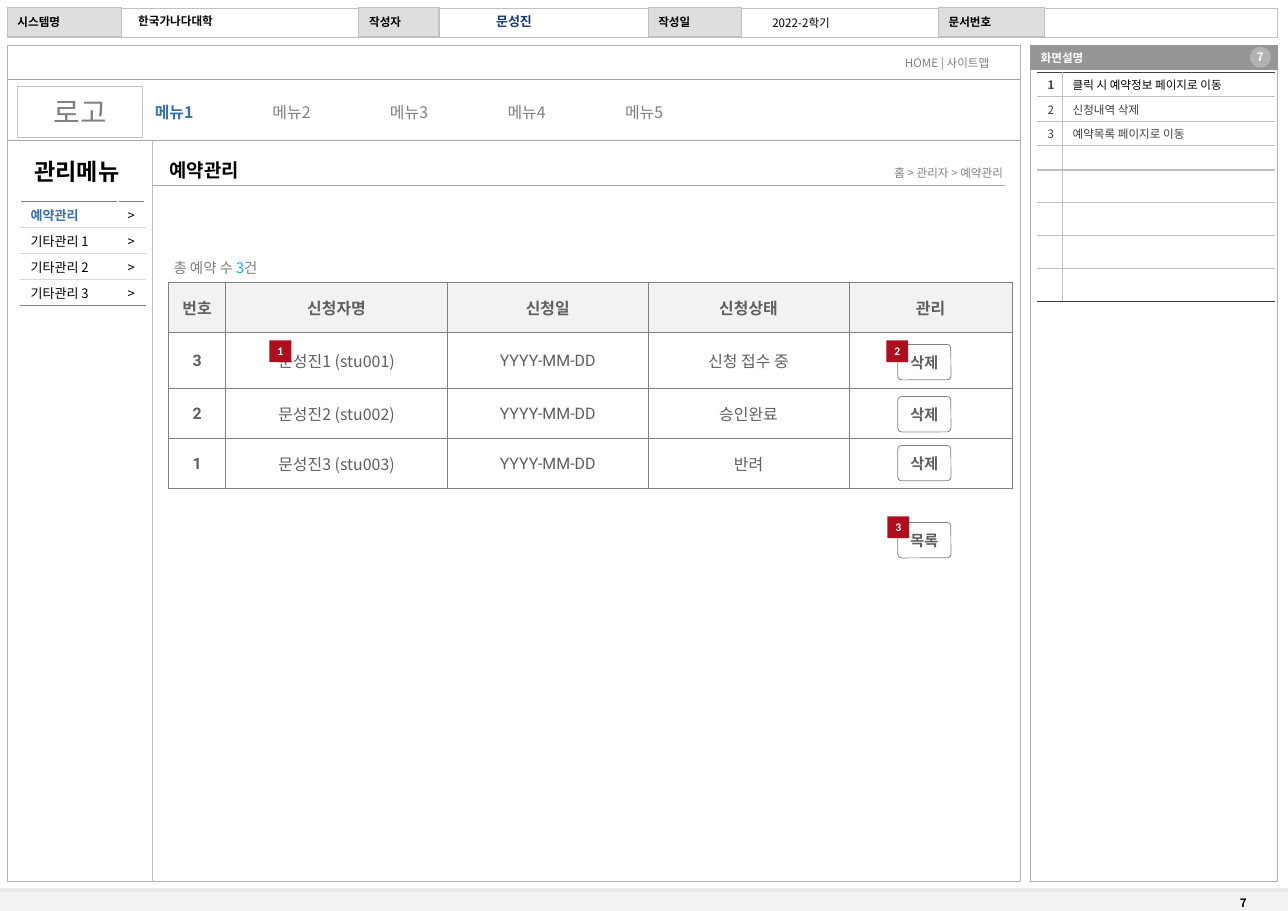
from lxml.etree import SubElement as Sub
from pptx import Presentation
from pptx.dml.color import RGBColor as Rgb
from pptx.enum.shapes import MSO_CONNECTOR as Conn, MSO_SHAPE as Geo
from pptx.enum.text import MSO_ANCHOR as Anchor, PP_ALIGN as Align
from pptx.oxml.ns import qn
from pptx.util import Inches, Pt

WIDE, HIGH = 1238, 875.25
HUE = {
    "ink": "000000", "text": "404040", "cell": "5F5F5F", "gray": "808080",
    "white": "FFFFFF", "blue": "376EAB", "navy": "163873", "cyan": "00B0F0",
    "red": "AF0F1D", "label": "DEDEDE", "edge": "C0C0C0", "frame": "B2B2B2",
    "rule": "A6A6A6", "thin": "BFBFBF", "bar": "969696", "pale": "F2F2F2",
    "foot": "F3F3F3", "band": "EAEAEA", "line": "D9D9D9",
}
FACE = "Noto Sans CJK KR"
LEFT, MID, RIGHT = Align.LEFT, Align.CENTER, Align.RIGHT


def unit(n):
    """Turn grid columns or rows into a length."""
    return Inches(n / 100)


def spot(box, x, y, w, h):
    """Place a part of the grid relative to a box."""
    return [unit(n) for n in (box[0] + x, box[1] + y, w, h)]


def tint(name):
    """Look up a colour by name."""
    return Rgb.from_string(HUE[name])


def write(frame, runs, align=LEFT, pad=(10, 5)):
    """Fill a text frame with runs of text, size, colour, bold and face."""
    frame.word_wrap = True
    frame.vertical_anchor = Anchor.MIDDLE
    frame.margin_left = frame.margin_right = unit(pad[0])
    frame.margin_top = frame.margin_bottom = unit(pad[1])
    add_runs(frame.paragraphs[0], runs, align)


def add_runs(para, runs, align):
    """Add styled runs to a paragraph."""
    para.alignment = align
    for text, size, hue, bold, *face in runs:
        run = para.add_run()
        run.text = text
        font = run.font
        font.size, font.bold, font.name = Pt(size), bold, (face or [FACE])[0]
        font.color.rgb = tint(hue)
        Sub(font._element, qn("a:ea"), typeface=FACE)


def block(page, area, fill=None, line=None, width=0.75, geo=Geo.RECTANGLE):
    """Draw a preset shape."""
    shape = page.shapes.add_shape(geo, *area)
    shape.shadow.inherit = False
    if fill:
        shape.fill.solid()
        shape.fill.fore_color.rgb = tint(fill)
    else:
        shape.fill.background()
    if line:
        shape.line.color.rgb = tint(line)
        shape.line.width = Pt(width)
    else:
        shape.line.fill.background()
    return shape


def label(page, area, runs, align=LEFT):
    """Add a text box."""
    write(page.shapes.add_textbox(*area).text_frame, runs, align)


def rule(page, box, x, y, w, h, hue="rule", width=0.75):
    """Draw a straight line inside a box."""
    x, y, w, h = spot(box, x, y, w, h)
    line = page.shapes.add_connector(Conn.STRAIGHT, x, y, x + w, y + h)
    line.line.color.rgb = tint(hue)
    line.line.width = Pt(width)
    Sub(line._element.spPr, qn("a:effectLst"))


def grid(page, box, x, y, cols, rows):
    """Add a plain table with the given columns and rows."""
    area = spot(box, x, y, sum(cols), sum(rows))
    table = page.shapes.add_table(len(rows), len(cols), *area).table
    table.first_row = table.horz_banding = False
    for col, n in zip(table.columns, cols):
        col.width = unit(n)
    for row, n in zip(table.rows, rows):
        row.height = unit(n)
    return table


def fill_cell(cell, runs, edges, width, align=LEFT, fill="white", pad=(10, 0, 3)):
    """Set the text, the four borders and the fill of a cell."""
    cell.margin_left, cell.margin_right = unit(pad[0]), unit(pad[1])
    cell.margin_top = cell.margin_bottom = unit(pad[2])
    cell.vertical_anchor = Anchor.MIDDLE
    para = cell.text_frame.paragraphs[0]
    add_runs(para, runs, align)
    if not runs:
        para._p.get_or_add_endParaRPr().set("sz", "800")
    props = cell._tc.get_or_add_tcPr()
    for side, hue in zip("LRTB", edges):
        line = Sub(props, qn("a:ln" + side), w=str(Pt(width)))
        if hue:
            Sub(Sub(line, qn("a:solidFill")), qn("a:srgbClr"), val=HUE[hue])
        else:
            Sub(line, qn("a:noFill"))
    cell.fill.solid()
    cell.fill.fore_color.rgb = tint(fill)


def add_head(page, box):
    """Draw the document strip with its labels and values."""
    block(page, spot(box, 0, 1, 1221, 28), "white", "edge")
    for x, w, text in ((0, 110, "시스템명"), (338, 77, "작성자"),
                       (616, 90, "작성일"), (895, 102, "문서번호")):
        shape = block(page, spot(box, x, 0, w, 28), "label", "edge")
        write(shape.text_frame, [(text, 8, "ink", True)])
    label(page, spot(box, 116, 1, 222, 24), [("한국가나다대학", 8, "ink", True)])
    label(page, spot(box, 416, 1, 142, 25), [("문성진", 9, "navy", True)], MID)
    label(page, spot(box, 714, 3, 98, 24), [("2022-2학기", 8, "ink", False)], MID)


def add_menu(page, box):
    """Draw the site bar with the logo slot and the five menus."""
    rule(page, box, 0, 32, box[2], 0)
    rule(page, box, 0, 91, box[2], 0)
    label(page, spot(box, 852, 4, 120, 24), [("HOME | 사이트맵", 8, "gray", False)])
    slot = block(page, spot(box, 9, 39, 120, 49), "white", "thin", 0.25)
    write(slot.text_frame, [("로고", 20, "gray", False)], MID)
    for i in range(5):
        run = (f"메뉴{i + 1}", 11, "gray" if i else "blue", not i)
        label(page, spot(box, 131 + 113 * i, 49, 100, 29), [run])


def add_side(page, box):
    """Draw the side menu."""
    rule(page, box, box[2], 0, 0, box[3], "thin", 0.25)
    label(page, spot(box, 0, 11, 132, 37), [("관리메뉴", 16, "ink", True)], MID)
    items = ["예약관리", "기타관리 1", "기타관리 2", "기타관리 3"]
    table = grid(page, box, 11.5, 58.5, [94, 26], [25] * 4)
    for i, item in enumerate(items):
        edges = ("white", "white", "line" if i else "gray",
                 "line" if i < 3 else "gray")
        name = (item, 9, "ink" if i else "blue", not i)
        fill_cell(table.cell(i, 0), [name], edges, 1)
        fill_cell(table.cell(i, 1), [(">", 9, "ink", False)], edges, 1, RIGHT,
                  pad=(0, 10, 3))


def add_main(page, box):
    """Draw the booking page with its table, buttons and markers."""
    title = page.shapes.title
    title.left, title.top, title.width, title.height = spot(box, 7, 12, 200, 32)
    write(title.text_frame, [("예약관리", 13, "ink", True)])
    rule(page, box, 0, 43, 820, 0)
    label(page, spot(box, 628, 19, 200, 24),
          [("홈 > 관리자 > 예약관리", 8, "gray", False)], RIGHT)
    label(page, spot(box, 11, 109, 150, 27),
          [("총 예약 수 ", 10, "gray", False), ("3", 10, "cyan", False),
           ("건", 10, "gray", False)])
    add_list(page, box)
    for y, text in ((196, "삭제"), (246, "삭제"), (293, "삭제"), (367, "목록")):
        key = block(page, spot(box, 717, y, 51, 34), "white", "gray", 0.5,
                    Geo.ROUNDED_RECTANGLE)
        key.adjustments[0] = 0.11
        write(key.text_frame, [(text, 10.5, "cell", True, "Roboto")], MID, (0, 0))
    for x, y, text in ((113, 192, "1"), (706, 192, "2"), (707, 361, "3")):
        mark = block(page, spot(box, x, y, 21, 21), "red")
        write(mark.text_frame, [(text, 8, "white", True, "Calibri")], MID, (0, 0))


def add_list(page, box):
    """Draw the table of bookings."""
    data = [("번호", "신청자명", "신청일", "신청상태", "관리")]
    states = ("신청 접수 중", "승인완료", "반려")
    for i, state in enumerate(states, 1):
        data.append((str(4 - i), f"문성진{i} (stu00{i})", "YYYY-MM-DD", state, ""))
    table = grid(page, box, 16, 136.5, [55, 213, 193, 193, 157], [48, 54, 48, 48])
    for r, row in enumerate(data):
        for c, text in enumerate(row):
            face = FACE if r and c == 1 else "Roboto"
            runs = [(text, 11, "cell", not r or not c, face)] if text else []
            fill_cell(table.cell(r, c), runs, ["gray"] * 4, 0.5, MID,
                      "white" if r else "pale", (9, 9, 9))


def add_note(page, box):
    """Draw the panel that explains the screen."""
    block(page, spot(box, 0, 23, 237, 780), None, "frame", 0.5)
    bar = block(page, spot(box, 0, 0, 237, 23), "bar", "bar", 0.5)
    write(bar.text_frame, [("화면설명", 8, "white", True)])
    dot = block(page, spot(box, 211, 1, 20, 20), "frame", geo=Geo.OVAL)
    write(dot.text_frame, [("7", 8, "white", True)], MID, (0, 0))
    notes = ["클릭 시 예약정보 페이지로 이동", "신청내역 삭제", "예약목록 페이지로 이동"]
    table = grid(page, box, 6.5, 25.5, [24, 205], [23.5] * 4 + [31.5] * 4)
    for r in range(8):
        top, low = "thin" if r else "text", "thin" if r < 7 else "text"
        num, note = [], []
        if r < len(notes):
            num = [(str(r + 1), 8, "text", not r)]
            note = [(notes[r], 8, "text" if r else "ink", False)]
        fill_cell(table.cell(r, 0), num, (None, "thin", top, low), 1)
        fill_cell(table.cell(r, 1), note, ("thin", None, top, low), 1)


def add_foot(page, box):
    """Draw the bottom strip with the page number."""
    block(page, spot(box, 0, 0, box[2], box[3]), "foot")
    rule(page, box, 0, 0, box[2], 0, "band", 3)
    label(page, spot(box, 1182, 0, 55, 24), [("7", 8, "ink", True)])


def main():
    """Build the slide and save it."""
    deck = Presentation()
    deck.slide_width, deck.slide_height = unit(WIDE), unit(HIGH)
    page = deck.slides.add_slide(deck.slide_layouts[5])
    add_foot(page, (0, 855, WIDE, HIGH - 855))
    add_head(page, (7, 7, 1221, 29))
    block(page, spot((7.5, 44), 0, 0, 973, 803), None, "frame")
    add_menu(page, (8, 44, 973, 91))
    add_side(page, (8, 135, 138, 712))
    add_main(page, (146, 135, 835, 712))
    add_note(page, (990.5, 44, 237, 803))
    deck.save("out.pptx")


if __name__ == "__main__":
    main()
